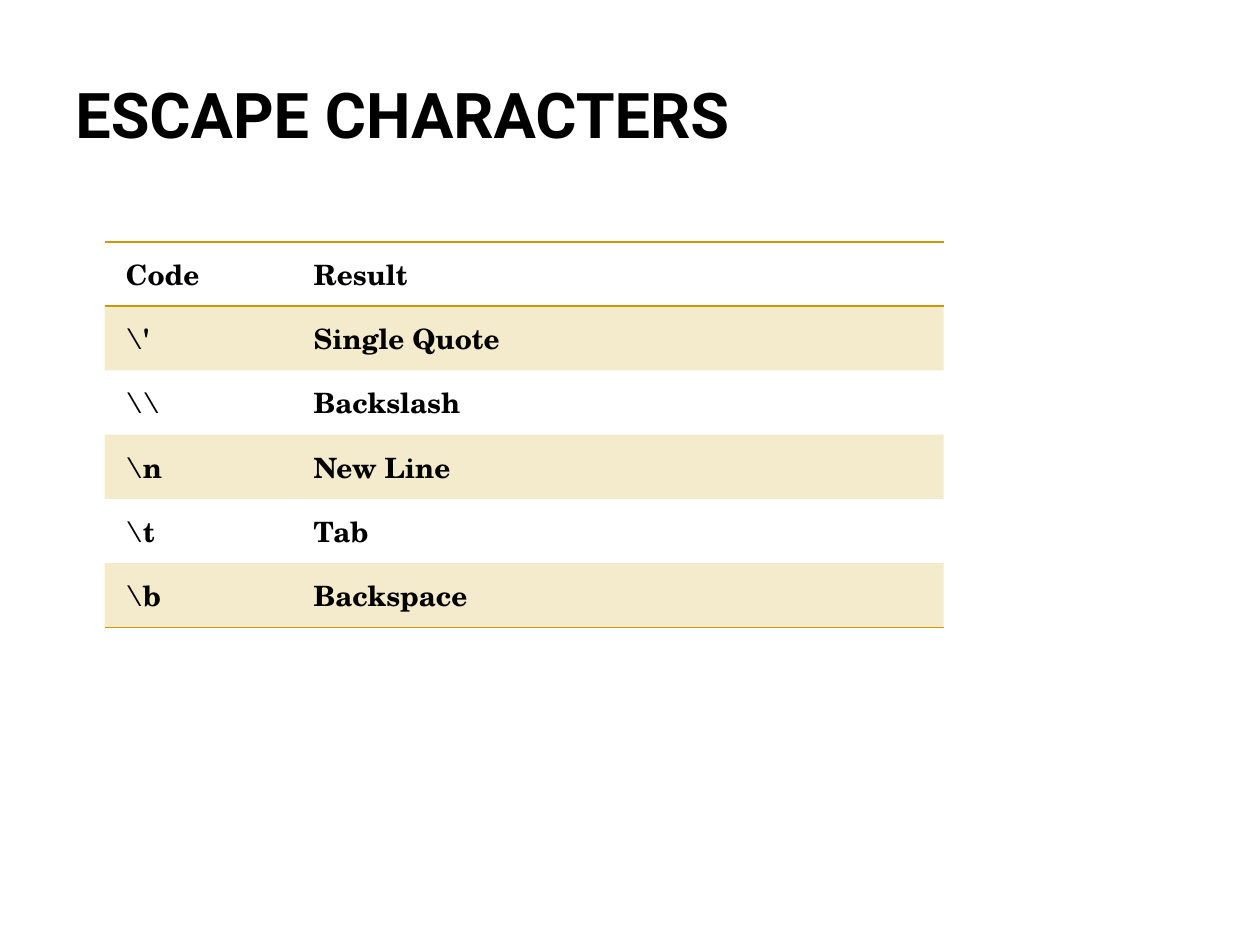
"""Build a slide with a table of escape characters."""
from typing import NamedTuple

from lxml import etree
from pptx import Presentation
from pptx import util as u
from pptx.dml.color import RGBColor
from pptx.enum import text
from pptx.oxml.ns import qn

INK = "000000"
GOLD = "CC9900"
COLS = (1.58, 5.08)
PADS = (0.17, 0.08)
ROW = 0.51


class Item(NamedTuple):
    code: str
    result: str


ITEMS = (
    Item("Code", "Result"),
    Item(r"\'", "Single Quote"),
    Item(r"\\", "Backslash"),
    Item(r"\n", "New Line"),
    Item(r"\t", "Tab"),
    Item(r"\b", "Backspace"),
)


def tint(value: str) -> RGBColor:
    return RGBColor.from_string(value)


def write(frame, words: str, size: float, face: str) -> None:
    run = frame.paragraphs[0].add_run()
    run.text = words
    run.font.size = u.Pt(size)
    run.font.name = face
    run.font.bold = True
    run.font.color.rgb = tint(INK)


def shade(cell, band: bool) -> None:
    if not band:
        cell.fill.background()
        return
    cell.fill.solid()
    cell.fill.fore_color.rgb = tint(GOLD)
    hue = cell._tc.tcPr.find(".//" + qn("a:srgbClr"))
    etree.SubElement(hue, qn("a:alpha"), val="20000")


def edge(cell, lines: str) -> None:
    for spot, side in enumerate("LRTB"):
        line = etree.Element(qn("a:ln" + side), w=str(u.Pt(1)))
        if side in lines:
            fill = etree.SubElement(line, qn("a:solidFill"))
            etree.SubElement(fill, qn("a:srgbClr"), val=GOLD)
        else:
            etree.SubElement(line, qn("a:noFill"))
        cell._tc.tcPr.insert(spot, line)


def add_title(slide) -> None:
    box = slide.shapes.add_textbox(
        u.Inches(0.5), u.Inches(0.08), u.Inches(7.42), u.Inches(1.17))
    frame = box.text_frame
    frame.word_wrap = True
    frame.vertical_anchor = text.MSO_ANCHOR.BOTTOM
    write(frame, "ESCAPE CHARACTERS", 36, "Roboto")


def add_grid(slide, items: tuple[Item, ...]) -> None:
    last = len(items) - 1
    grid = slide.shapes.add_table(
        len(items), len(COLS), u.Inches(0.83), u.Inches(1.92),
        u.Inches(sum(COLS)), u.Inches(ROW * len(items))).table
    grid.first_row = grid.horz_banding = False
    for col, width in zip(grid.columns, COLS):
        col.width = u.Inches(width)
    for i, item in enumerate(items):
        grid.rows[i].height = u.Inches(ROW)
        lines = "TB" if i == 0 else "T" if i == 1 else "B" if i == last else ""
        for j, words in enumerate(item):
            cell = grid.cell(i, j)
            cell.margin_left = u.Inches(PADS[j])
            cell.margin_right = u.Inches(0.08)
            cell.margin_top = cell.margin_bottom = u.Inches(0.08)
            cell.vertical_anchor = text.MSO_ANCHOR.MIDDLE
            write(cell.text_frame, words, 16, "TeX Gyre Schola")
            shade(cell, i % 2 == 1)
            edge(cell, lines)


def main() -> None:
    deck = Presentation()
    deck.slide_width = u.Inches(10)
    deck.slide_height = u.Inches(7.5)
    slide = deck.slides.add_slide(deck.slide_layouts[6])
    add_title(slide)
    add_grid(slide, ITEMS)
    deck.save("out.pptx")


if __name__ == "__main__":
    main()
